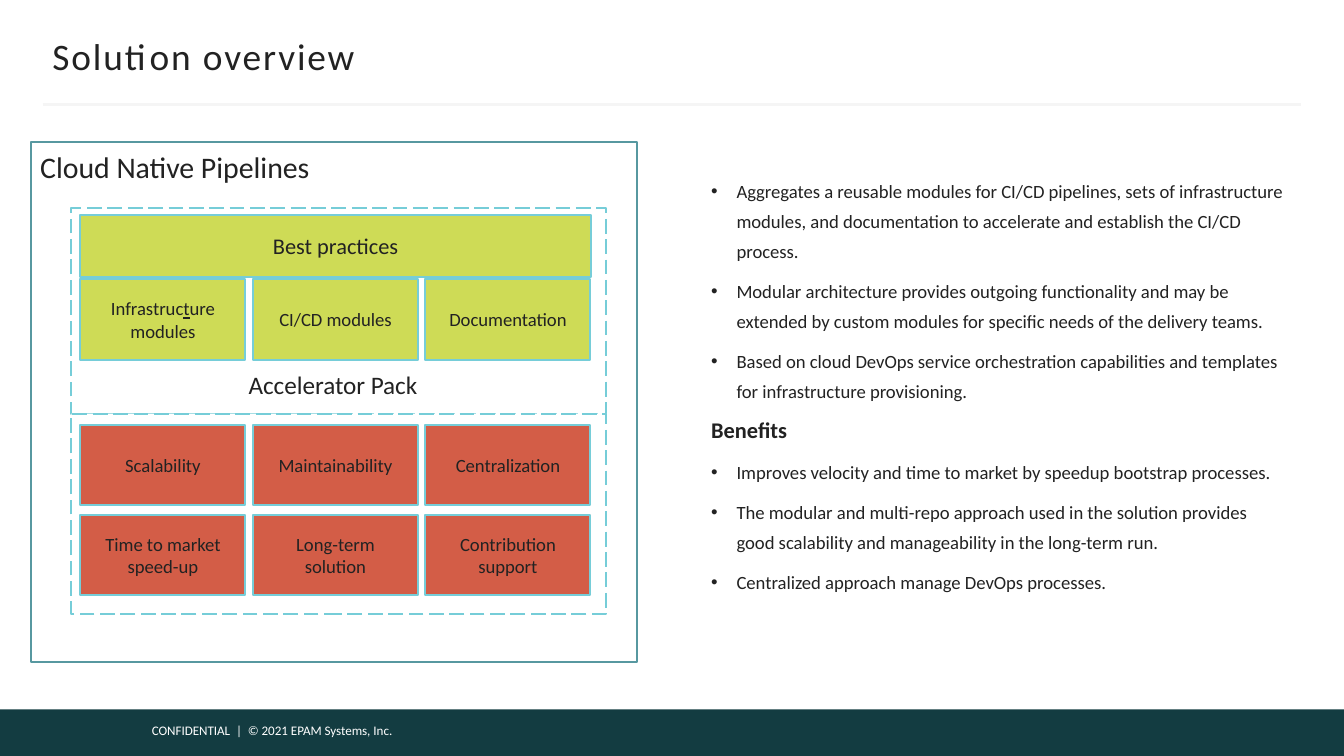
from lxml import etree
from pptx import Presentation
from pptx.dml.color import RGBColor
from pptx.enum import dml, shapes, text
from pptx.oxml import ns
from pptx.util import Cm, Pt

INK = RGBColor(0x22, 0x22, 0x22)
WHITE = RGBColor(0xFF, 0xFF, 0xFF)
DARK = RGBColor(0x13, 0x3C, 0x41)
PALE = RGBColor(0xF5, 0xF5, 0xF5)
TEAL = RGBColor(0x57, 0x98, 0xA0)
AQUA = RGBColor(0x76, 0xCD, 0xD8)
LIME = RGBColor(0xCE, 0xDB, 0x56)
RED = RGBColor(0xD3, 0x5D, 0x47)

ROWS = [
    (5.28, LIME, ["Infrastruc_t_ure modules", "CI/CD modules", "Documentation"]),
    (8.03, RED, ["Scalability", "Maintainability", "Centralization"]),
    (9.73, RED, ["Time to market speed-up", "Long-term solution",
                 "Contribution support"]),
]
POINTS = [
    "Aggregates a reusable modules for CI/CD pipelines, sets of infrastructure "
    "modules, and documentation to accelerate and establish the CI/CD process.",
    "Modular architecture provides outgoing functionality and may be extended "
    "by custom modules for specific needs of the delivery teams.",
    "Based on cloud DevOps service orchestration capabilities and templates "
    "for infrastructure provisioning.",
    "Benefits",
    "Improves velocity and time to market by speedup bootstrap processes.",
    "The modular and multi-repo approach used in the solution provides good "
    "scalability and manageability in the long-term run.",
    "Centralized approach manage DevOps processes.",
]


def put(par, words, size=10, color=INK, bold=False, align=text.PP_ALIGN.LEFT, gap=0):
    """Write words into a paragraph, underlining what stands between underscores."""
    par.alignment = align
    for i, part in enumerate(words.split("_")):
        run = par.add_run()
        run.text = part
        font = run.font
        font.name, font.size, font.bold = "Calibri", Pt(size), bold
        font.color.rgb = color
        if i % 2:
            font.underline = True
        if gap:
            run._r.get_or_add_rPr().set("spc", str(gap))


class Deck:
    """Holds the style and the current slide."""

    def __init__(self):
        self.prs = Presentation()
        self.prs.slide_width, self.prs.slide_height = Cm(25.4), Cm(14.29)
        self.slide = self.prs.slides.add_slide(self.prs.slide_layouts[1])
        self.items = self.slide.shapes

    def place(self, item, spot, inset):
        """Move a placeholder and set up its frame."""
        item.left, item.top, item.width, item.height = map(Cm, spot)
        frame = item.text_frame
        frame.margin_left = frame.margin_right = 0
        frame.margin_top = frame.margin_bottom = Cm(inset)
        frame.word_wrap = True
        frame.auto_size = text.MSO_AUTO_SIZE.NONE
        return frame

    def title(self, words, *spot):
        """Fill the title placeholder."""
        frame = self.place(self.items.title, spot, 0.13)
        frame.vertical_anchor = text.MSO_ANCHOR.MIDDLE
        put(frame.paragraphs[0], words, size=20, gap=100)

    def body(self, points, heads, *spot):
        """Fill the body placeholder with bullets and bold headings."""
        frame = self.place(self.slide.placeholders[1], spot, 0)
        frame.vertical_anchor = text.MSO_ANCHOR.TOP
        for i, words in enumerate(points):
            par = frame.add_paragraph() if i else frame.paragraphs[0]
            head = words in heads
            par.line_spacing, par.space_after = Pt(16), Pt(3)
            par.space_before = Pt(2.6 if i else 0)
            props = par._p.get_or_add_pPr()
            dent = 0 if head else Cm(0.48)
            props.set("marL", str(dent))
            props.set("indent", str(-dent))
            if head:
                etree.SubElement(props, ns.qn("a:buNone"))
            else:
                etree.SubElement(props, ns.qn("a:buChar")).set("char", "•")
            put(par, words, size=12 if head else 10, bold=head)

    def box(self, *spot, fill=None, line=None, dash=False, words="", size=10):
        """Draw a rectangle with centred words."""
        item = self.items.add_shape(shapes.MSO_SHAPE.RECTANGLE, *map(Cm, spot))
        item.shadow.inherit = False
        if fill is None:
            item.fill.background()
        else:
            item.fill.solid()
            item.fill.fore_color.rgb = fill
        if line is None:
            item.line.fill.background()
        else:
            item.line.color.rgb, item.line.width = line, Pt(1)
        if dash:
            item.line.dash_style = dml.MSO_LINE.LONG_DASH
        if words:
            frame = item.text_frame
            frame.word_wrap = True
            frame.vertical_anchor = text.MSO_ANCHOR.MIDDLE
            put(frame.paragraphs[0], words, size=size, align=text.PP_ALIGN.CENTER)

    def label(self, words, *spot, **style):
        """Add free text."""
        frame = self.items.add_textbox(*map(Cm, spot)).text_frame
        frame.word_wrap = True
        put(frame.paragraphs[0], words, **style)

    def rule(self, *ends):
        """Draw a pale straight line."""
        item = self.items.add_connector(shapes.MSO_CONNECTOR.STRAIGHT, *map(Cm, ends))
        item.line.color.rgb, item.line.width = PALE, Pt(1.5)
        etree.SubElement(item._element.spPr, ns.qn("a:effectLst"))


def main():
    """Build the slide and save it."""
    deck = Deck()
    deck.box(0, 13.41, 25.4, 0.88, fill=DARK)
    deck.label("CONFIDENTIAL  |  © 2021 EPAM Systems, Inc.",
               2.62, 13.54, 6.73, 0.56, size=7, color=WHITE)
    deck.rule(0.81, 1.98, 24.59, 1.98)
    deck.title("Solution overview", 0.99, 0.64, 23.42, 0.84)
    deck.body(POINTS, ["Benefits"], 13.44, 3.26, 10.87, 9.26)

    deck.box(1.35, 3.94, 10.11, 3.89, fill=WHITE, line=AQUA, dash=True)
    deck.box(0.58, 2.69, 11.46, 9.83, line=TEAL)
    deck.box(1.35, 7.82, 10.11, 3.78, fill=WHITE, line=AQUA, dash=True)
    deck.label("Cloud Native Pipelines", 0.51, 2.69, 5.64, 0.94, size=16)
    deck.box(1.52, 4.06, 9.65, 1.17, fill=LIME, line=AQUA,
             words="Best practices", size=12)
    for top, fill, names in ROWS:
        for col, name in enumerate(names):
            deck.box(1.52 + 3.26 * col, top, 3.12, 1.52,
                     fill=fill, line=AQUA, words=name)
    deck.label("Accelerator Pack", 4.45, 6.86, 3.76, 0.84, size=13.5)
    deck.prs.save("out.pptx")


if __name__ == "__main__":
    main()
